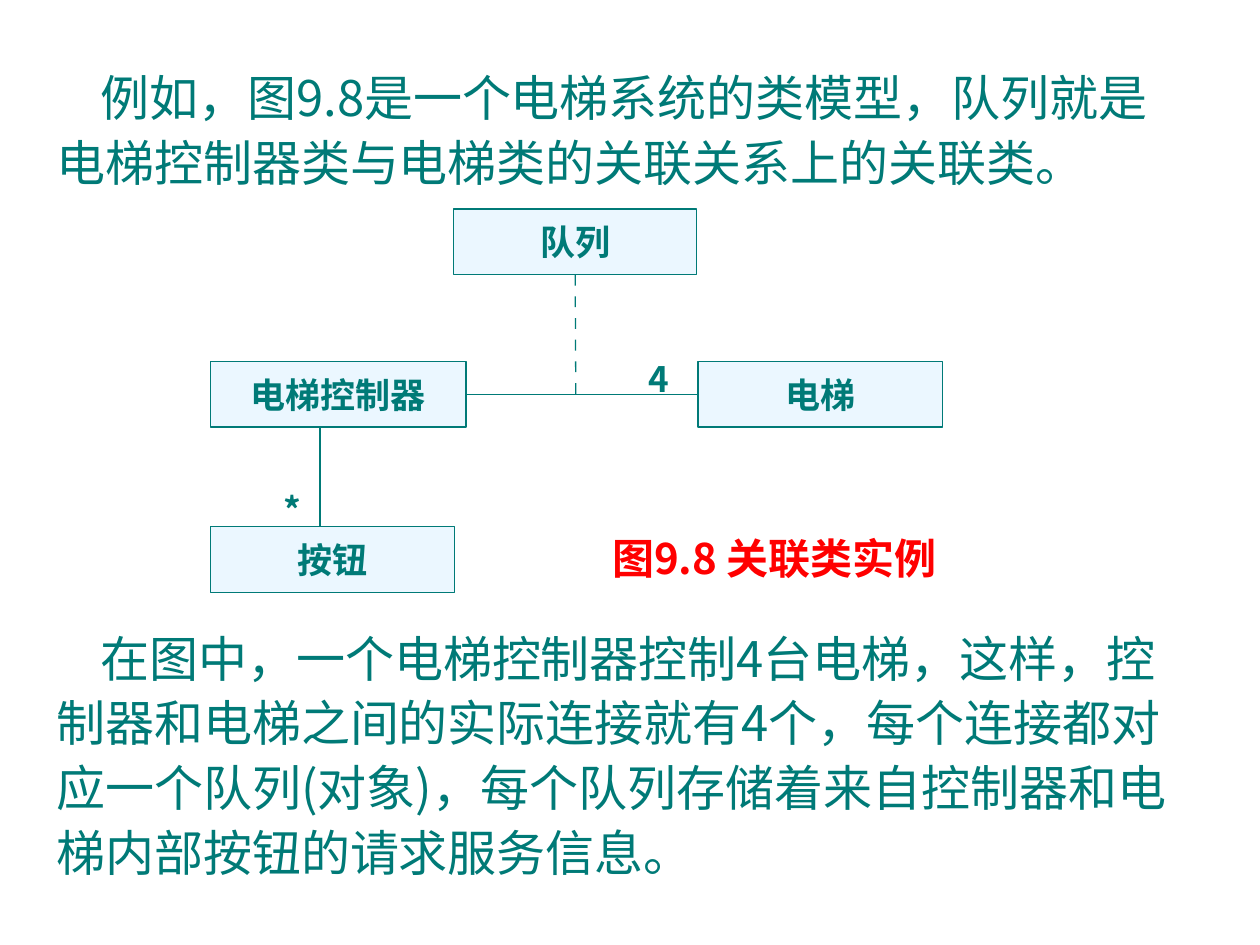
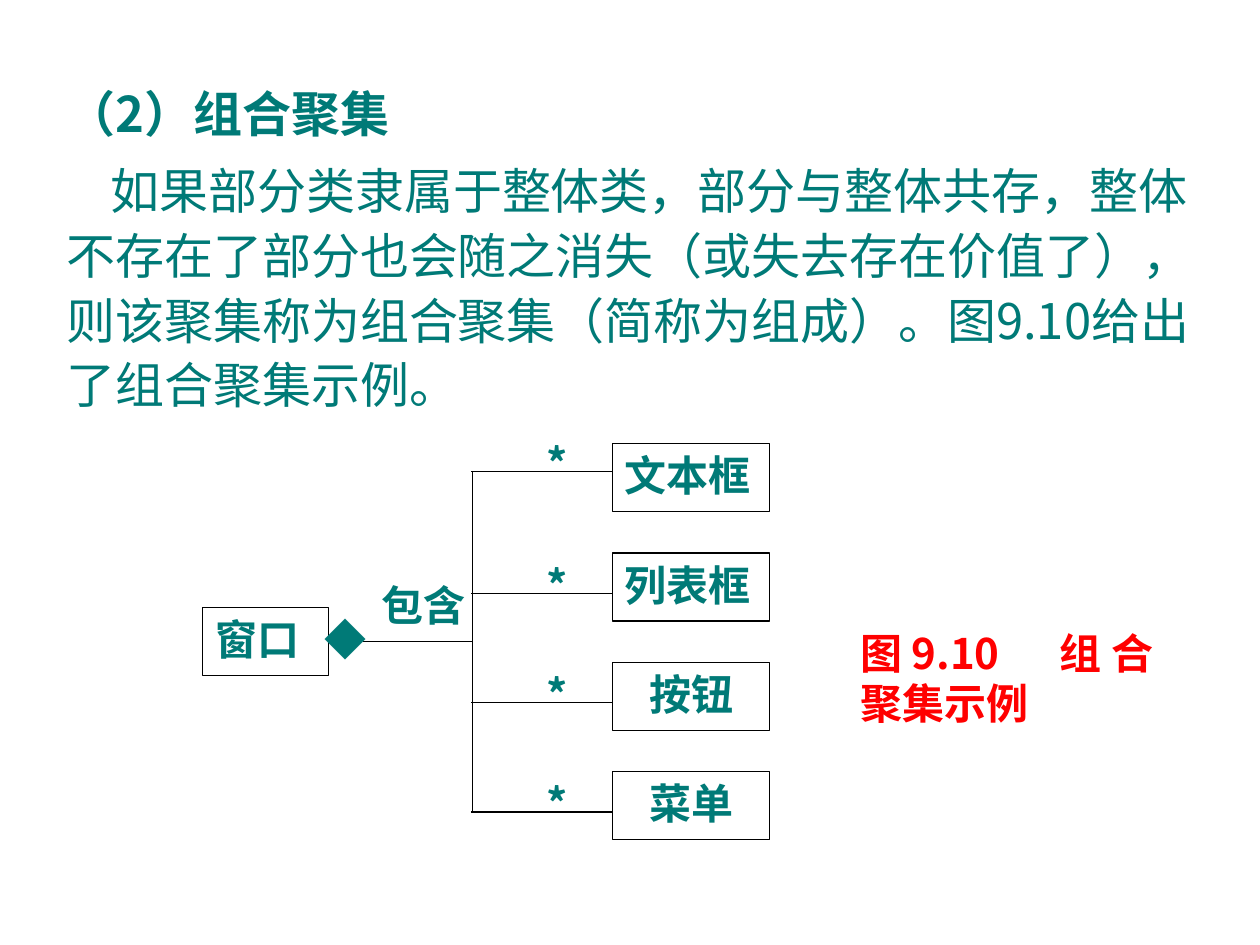
from lxml.etree import SubElement
from pptx import Presentation
from pptx.dml.color import RGBColor
from pptx.enum.shapes import MSO_CONNECTOR, MSO_SHAPE
from pptx.enum.text import MSO_ANCHOR, MSO_AUTO_SIZE, PP_ALIGN
from pptx.oxml.ns import qn
from pptx.util import Inches, Pt

COLORS = {
    "teal": "007A77",
    "class_fill": "EBF7FF",
    "caption": "FF0000",
    "black": "000000",
    "white": "FFFFFF",
}
FONT = "Noto Sans CJK SC"
BODY_SIZE = 28
FIRST_LINE_INDENT = 0.35
LINE_WIDTH = 0.75


def rgb(name):
    return RGBColor.from_string(COLORS[name])


def format_paragraph(para, size, color="teal", bold=True, align=None, before=0):
    para.alignment = align
    para.space_before = Pt(before)
    for span in para.runs:
        span.font.size = Pt(size)
        span.font.bold = bold
        span.font.name = FONT
        span.font.color.rgb = rgb(color)
        SubElement(span.font._element, qn("a:ea"), typeface=FONT)


def format_body(para, before, bold=False, indent=FIRST_LINE_INDENT):
    format_paragraph(para, BODY_SIZE, bold=bold, before=before)
    para.line_spacing = 1.1
    properties = para._p.get_or_add_pPr()
    properties.set("marL", "0")
    properties.set("indent", str(Inches(indent)))


def add_text_box(page, left, top, width, height, text):
    box = page.shapes.add_textbox(Inches(left), Inches(top), Inches(width), Inches(height))
    box.text_frame.word_wrap = True
    box.text_frame.auto_size = MSO_AUTO_SIZE.NONE
    box.text_frame.text = text
    return box


def add_body(page, left, top, width, height, text):
    box = add_text_box(page, left, top, width, height, text)
    format_body(box.text_frame.paragraphs[0], before=12.2)


def add_label(page, left, top, width, height, text, size, color="teal", align=None, before=0):
    box = add_text_box(page, left, top, width, height, text)
    format_paragraph(box.text_frame.paragraphs[0], size, color, align=align, before=before)


def add_class_box(page, left, top, width, height, text, size, fill, outline,
                  align=PP_ALIGN.CENTER, anchor=MSO_ANCHOR.TOP, wrap=True):
    box = page.shapes.add_shape(
        MSO_SHAPE.RECTANGLE, Inches(left), Inches(top), Inches(width), Inches(height))
    box.shadow.inherit = False
    box.fill.solid()
    box.fill.fore_color.rgb = rgb(fill)
    box.line.color.rgb = rgb(outline)
    box.line.width = Pt(LINE_WIDTH)
    frame = box.text_frame
    frame.word_wrap = wrap
    frame.vertical_anchor = anchor
    frame.text = text
    format_paragraph(frame.paragraphs[0], size, align=align)
    return box


def add_line(page, x1, y1, x2, y2, color):
    line = page.shapes.add_connector(
        MSO_CONNECTOR.STRAIGHT, Inches(x1), Inches(y1), Inches(x2), Inches(y2))
    line.line.color.rgb = rgb(color)
    line.line.width = Pt(LINE_WIDTH)
    SubElement(line._element.spPr, qn("a:effectLst"))
    return line


def make_dashed(line):
    """Dash and gap are equal, each 8.4 line widths long."""
    dashes = SubElement(line.line._get_or_add_ln(), qn("a:custDash"))
    SubElement(dashes, qn("a:ds"), d="840000", sp="840000")


def build_association_page(page):
    add_body(page, 0.35, 0.44, 9.21, 1.13,
             "例如，图9.8是一个电梯系统的类模型，队列就是电梯控制器类与电梯类的关联关系上的关联类。")

    def add_class(left, top, width, text):
        return add_class_box(page, left, top, width, 0.52, text, 20, "class_fill", "teal",
                             anchor=MSO_ANCHOR.MIDDLE, wrap=False)

    queue = add_class(3.6, 1.66, 1.93, "队列")
    controller = add_class(1.67, 2.87, 2.03, "电梯控制器")
    elevator = add_class(5.54, 2.87, 1.94, "电梯")
    button = add_class(1.67, 4.18, 1.94, "按钮")

    association = add_line(page, 3.7, 3.13, 5.54, 3.13, "teal")
    association.begin_connect(controller, 3)
    association.end_connect(elevator, 1)
    add_line(page, 2.54, 3.39, 2.54, button.top.inches, "teal")
    queue_link = add_line(page, 4.57, 2.18, 4.57, 3.13, "teal")
    queue_link.begin_connect(queue, 2)
    make_dashed(queue_link)

    for left, top, multiplicity in ((2.15, 3.83, "*"), (5.05, 2.79, "4")):
        add_label(page, left, top, 0.39, 0.44, multiplicity, 20, before=12.5)
    add_label(page, 4.76, 4.18, 3.39, 0.5, "图9.8 关联类实例", 24, "caption", before=15)

    add_body(page, 0.35, 4.89, 9.21, 2.16,
             "在图中，一个电梯控制器控制4台电梯，这样，控制器和电梯之间的实际连接就有4个，"
             "每个连接都对应一个队列(对象)，每个队列存储着来自控制器和电梯内部按钮的请求服务信息。")


def build_composition_page(page):
    box = add_text_box(page, 0.43, 0.57, 9.13, 2.77, "（2）组合聚集")
    format_body(box.text_frame.paragraphs[0], before=7, bold=True, indent=0)
    para = box.text_frame.add_paragraph()
    para.text = ("如果部分类隶属于整体类，部分与整体共存，整体不存在了部分也会随之消失"
                 "（或失去存在价值了），则该聚集称为组合聚集（简称为组成）。"
                 "图9.10给出了组合聚集示例。")
    format_body(para, before=7)

    justify = PP_ALIGN.JUSTIFY
    add_class_box(page, 1.61, 4.82, 1, 0.54, "窗口", 24, "white", "black", justify)
    add_line(page, 2.88, 5.09, 3.75, 5.09, "black")
    add_label(page, 2.48, 4.82, 0.63, 0.54, "◆", 24, align=justify)
    add_label(page, 2.93, 4.55, 1, 0.45, "包含", 24, align=justify)
    add_line(page, 3.75, 3.74, 3.75, 6.45, "black")

    parts = (("文本框", justify), ("列表框", justify),
             ("按钮", PP_ALIGN.CENTER), ("菜单", PP_ALIGN.CENTER))
    for row, (name, align) in enumerate(parts):
        top = 3.52 + 0.868 * row
        branch_top = top - 0.1 if row == 0 else top
        add_class_box(page, 4.86, top, 1.25, 0.54, name, 24, "white", "black", align)
        add_line(page, 3.74, branch_top + 0.32, 4.86, branch_top + 0.32, "black")
        add_label(page, 4.24, branch_top, 0.5, 0.43, "*", 24, align=justify)

    add_label(page, 6.73, 4.93, 2.52, 1.02, "图9.10　组合聚集示例", 24, "caption", justify)


def main():
    deck = Presentation()
    deck.slide_width = Inches(10)
    deck.slide_height = Inches(7.5)
    for build_page in (build_association_page, build_composition_page):
        build_page(deck.slides.add_slide(deck.slide_layouts[6]))
    deck.save("out.pptx")


if __name__ == "__main__":
    main()
